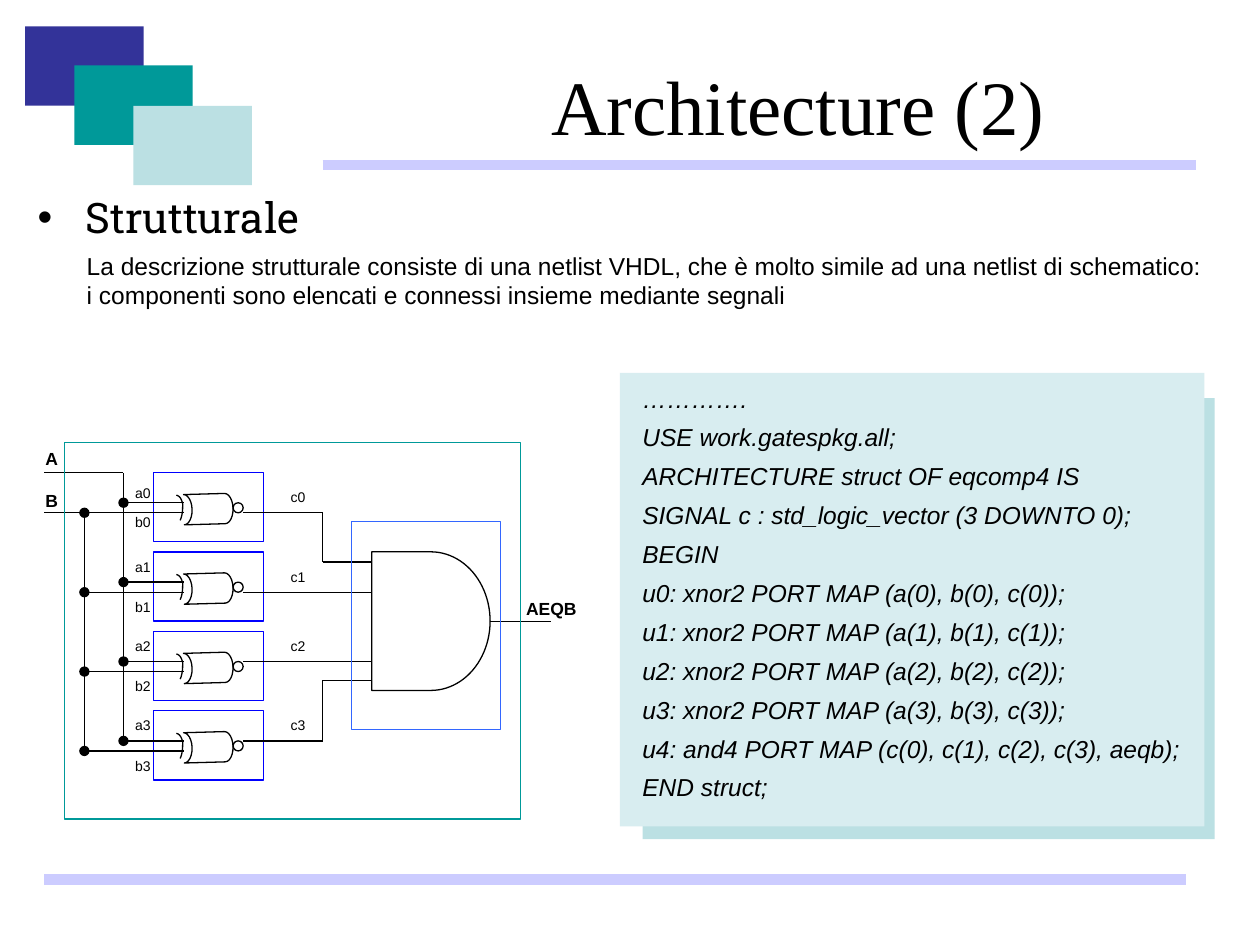
"""Build the slide on structural VHDL architecture with its comparator schematic."""
from lxml import etree
from pptx import Presentation
from pptx.dml.color import RGBColor
from pptx.enum.shapes import MSO_CONNECTOR, MSO_SHAPE
from pptx.enum.text import MSO_ANCHOR, MSO_AUTO_SIZE, PP_ALIGN
from pptx.oxml.ns import qn
from pptx.util import Inches, Pt

RECT, OVAL = MSO_SHAPE.RECTANGLE, MSO_SHAPE.OVAL
STORAGE, DELAY = MSO_SHAPE.FLOWCHART_STORED_DATA, MSO_SHAPE.FLOWCHART_DELAY
STRAIGHT = MSO_CONNECTOR.STRAIGHT
MIDDLE, TOP = MSO_ANCHOR.MIDDLE, MSO_ANCHOR.TOP
LEFT, CENTER = PP_ALIGN.LEFT, PP_ALIGN.CENTER
FIT, NO_FIT = MSO_AUTO_SIZE.SHAPE_TO_FIT_TEXT, MSO_AUTO_SIZE.NONE
COLS, ROWS = 100, 75
COLORS = {
    "ink": "000000", "navy": "333399", "teal": "009999", "mist": "BBE0E3",
    "pale": "D8EDF0", "rule": "CCCCFF", "gate": "0000FF", "and": "3366FF",
}
CODE = """………….
USE work.gatespkg.all;
ARCHITECTURE struct OF eqcomp4 IS
SIGNAL c : std_logic_vector (3 DOWNTO 0);
BEGIN
u0: xnor2 PORT MAP (a(0), b(0), c(0));
u1: xnor2 PORT MAP (a(1), b(1), c(1));
u2: xnor2 PORT MAP (a(2), b(2), c(2));
u3: xnor2 PORT MAP (a(3), b(3), c(3));
u4: and4 PORT MAP (c(0), c(1), c(2), c(3), aeqb);
END struct;"""
PITCH = 6.3
LABEL_ROWS = [(38, 40.3, 38.3), (43.8, 47, 44.6), (50.1, 53.3, 50.1), (56.4, 59.6, 56.4)]
ARC = [[(14, 39.3), (14.3, 39.4), (14.4, 39.6), (14.5, 40)],
       [(14.5, 40), (14.5, 40.4), (14.5, 40.9), (14.3, 41.3)]]


def bezier(points, t):
    """Return the point at share t of a cubic curve."""
    weights = ((1 - t) ** 3, 3 * t * (1 - t) ** 2, 3 * t * t * (1 - t), t ** 3)
    return tuple(sum(w * p[axis] for w, p in zip(weights, points)) for axis in (0, 1))


class Deck:
    """Hold the style, the grid and the current slide."""

    def __init__(self, prs):
        """Lay the grid over a new title-only slide."""
        self.col, self.row = prs.slide_width / COLS, prs.slide_height / ROWS
        self.s = prs.slides.add_slide(prs.slide_layouts[5])
        self.shapes = self.s.shapes

    def group(self):
        """Send the next elements to a new group."""
        self.shapes = self.s.shapes.add_group_shape().shapes

    def emu(self, *lengths):
        """Turn alternating columns and rows into slide lengths."""
        return [round(n * (self.row if i % 2 else self.col)) for i, n in enumerate(lengths)]

    def set_text(self, tf, text, size, font="Arial", align=LEFT, anchor=TOP, before=0,
                 spacing=None, bullet=None, fit=NO_FIT, **style):
        """Fill a text frame with one paragraph per line."""
        tf.text = text
        for name, value in {"word_wrap": True, "auto_size": fit, "vertical_anchor": anchor}.items():
            setattr(tf, name, value)
        for i, p in enumerate(tf.paragraphs):
            if bullet:
                self.bullet(p, bullet)
            for name, value in {"alignment": align, "line_spacing": spacing,
                                "space_before": Pt(before if i else 0)}.items():
                setattr(p, name, value)
            for r in p.runs:
                for name, value in {"name": font, "size": Pt(size), **style}.items():
                    setattr(r.font, name, value)
                r.font.color.rgb = RGBColor.from_string(COLORS["ink"])

    def bullet(self, p, char):
        """Give a paragraph a hanging bullet."""
        pPr = p._p.get_or_add_pPr()
        pPr.set("marL", str(Inches(0.38)))
        pPr.set("indent", str(-Inches(0.38)))
        color = etree.SubElement(pPr, qn("a:buClr"))
        etree.SubElement(color, qn("a:srgbClr"), val=COLORS["ink"])
        etree.SubElement(pPr, qn("a:buFont"), typeface="Arial")
        etree.SubElement(pPr, qn("a:buChar"), char=char)

    def title(self, at, text, size, font):
        """Move and format the title placeholder."""
        sp = self.s.shapes.title
        for name, value in zip(("left", "top", "width", "height"), self.emu(*at)):
            setattr(sp, name, value)
        self.set_text(sp.text_frame, text, size, font, CENTER, MIDDLE)

    def text(self, at, text, size, **style):
        """Add a text box."""
        sp = self.shapes.add_textbox(*self.emu(*at))
        self.set_text(sp.text_frame, text, size, **style)

    def paint(self, sp, fill, line):
        """Set the fill and line of a shape and drop its shadow."""
        sp.shadow.inherit = False
        if fill:
            sp.fill.solid()
            sp.fill.fore_color.rgb = RGBColor.from_string(COLORS[fill])
        else:
            sp.fill.background()
        if line:
            sp.line.color.rgb = RGBColor.from_string(COLORS[line])
            sp.line.width = Pt(0.75)
        else:
            sp.line.fill.background()

    def shape(self, kind, at, fill=None, line=None, rotation=0):
        """Add a preset shape."""
        sp = self.shapes.add_shape(kind, *self.emu(*at))
        sp.rotation = rotation
        self.paint(sp, fill, line)
        return sp

    def curve(self, parts, down, steps=6):
        """Add an open outline along cubic curves, moved down by some rows."""
        points = [bezier(part, k / steps) for part in parts for k in range(steps + 1)]
        points = [self.emu(x, y + down) for x, y in points]
        builder = self.shapes.build_freeform(*points[0])
        builder.add_line_segments(points[1:], close=False)
        self.paint(builder.convert_to_shape(), None, "ink")

    def line(self, ends, color="ink", width=0.75, dot=False, start=None):
        """Add a straight line, with a dot at its end or a shape at its start."""
        cx = self.shapes.add_connector(STRAIGHT, *self.emu(*ends))
        if start:
            cx.begin_connect(*start)
        cx.line.color.rgb = RGBColor.from_string(COLORS[color])
        cx.line.width = Pt(width)
        spPr = cx._element.spPr
        if dot:
            etree.SubElement(spPr.find(qn("a:ln")), qn("a:tailEnd"), type="oval")
        etree.SubElement(spPr, qn("a:effectLst"))

    def gate(self, i):
        """Add one XNOR gate with its inputs, output and labels."""
        down = i * PITCH
        a_row, b_row = 39.9 + down, 40.7 + down
        out_row = b_row if i < 2 else a_row
        self.shape(STORAGE, (14.6, 39.2 + down, 3.9, 2.4), line="ink", rotation=178.4)
        self.curve(ARC, down)
        self.shape(OVAL, (18.5, 39.9 + down, 0.8, 0.8), line="ink")
        self.shape(RECT, (12.2, 37.5 + down, 8.7, 5.5), line="gate")
        self.line((14.6, a_row, 9.8, a_row), dot=True)
        self.line((14.6, b_row, 6.7, b_row), dot=True)
        self.line((19.3, out_row, 29.5 if i in (1, 2) else 25.6, out_row))
        for name, left, width, top in zip("abc", (9, 9, 20.9), (4.7, 4.7, 5.5), LABEL_ROWS[i]):
            self.text((left, top, width, 2.4), f"{name}{i}", 8, align=CENTER, fit=FIT)


def main():
    """Build and save the slide."""
    prs = Presentation()
    prs.slide_width, prs.slide_height = Inches(10), Inches(7.5)
    deck = Deck(prs)

    deck.title((31, 3.6, 64.7, 9.5), "Architecture (2)", 44, "Times New Roman")
    deck.text((2, 14.7, 90, 49.5), "Strutturale", 24, font="Roboto Slab", bullet="•")
    for left, top, fill in ((2, 2.1, "navy"), (5.9, 5.2, "teal"), (10.6, 8.4, "mist")):
        deck.shape(RECT, (left, top, 9.4, 6.3), fill)
    for left, right, row in ((25.6, 94.9, 13.1), (3.5, 94.1, 69.8)):
        deck.line((left, row, right, row), "rule", 6)
    deck.text((5.9, 19.4, 90.6, 5.7),
              "La descrizione strutturale consiste di una netlist VHDL, che è molto simile ad una "
              "netlist di schematico: i componenti sono elencati e connessi insieme mediante segnali",
              14, fit=FIT)

    deck.group()
    deck.shape(RECT, (51, 31.6, 45.4, 35), "mist")
    deck.shape(RECT, (49.2, 29.6, 46.4, 36), "pale")
    deck.text((50, 30.4, 45.7, 33.7), CODE, 14, before=8.8, spacing=0.8, italic=True, fit=FIT)

    deck.group()
    for i in range(4):
        deck.gate(i)
    for ends in ((9.8, 58.8, 9.8, 37.5), (3.5, 37.5, 9.8, 37.5),
                 (6.7, 59.6, 6.7, 40.7), (6.7, 40.7, 3.5, 40.7),
                 (29.5, 44.6, 25.6, 44.6), (25.6, 44.6, 25.6, 40.7),
                 (29.5, 54, 25.6, 54), (25.6, 54, 25.6, 58.8)):
        deck.line(ends)
    and_gate = deck.shape(DELAY, (29.5, 43.8, 9.4, 11), line="ink")
    deck.line((38.9, 49.3, 43.7, 49.3), start=(and_gate, 3))
    deck.shape(RECT, (27.9, 41.4, 11.8, 16.5), line="and")
    deck.shape(RECT, (5.1, 35.1, 36.2, 29.9), line="teal")
    for name, left, top, width in (("A", 2, 35.1, 4.2), ("B", 2, 38.4, 4.2), ("AEQB", 39.8, 47, 7.9)):
        deck.text((left, top, width, 2.7), name, 10, align=CENTER, fit=FIT, bold=True)

    prs.save("out.pptx")


if __name__ == "__main__":
    main()
